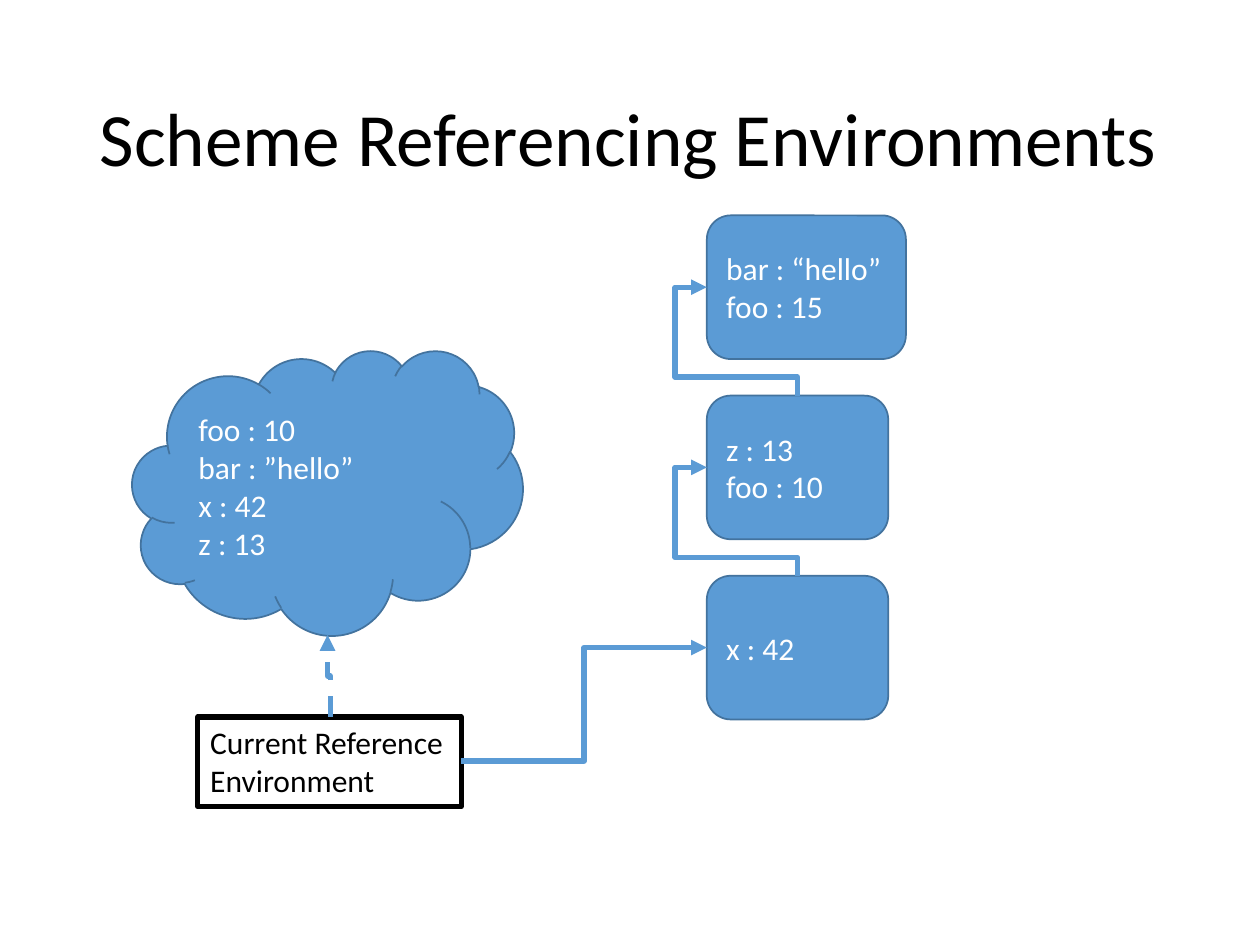
from pptx import Presentation
from pptx.dml.color import RGBColor
from pptx.enum.dml import MSO_LINE
from pptx.enum.shapes import MSO_CONNECTOR, MSO_SHAPE
from pptx.enum.text import MSO_ANCHOR, MSO_AUTO_SIZE, PP_ALIGN
from pptx.oxml.ns import qn
from pptx.oxml.xmlchemy import OxmlElement
from pptx.util import Inches, Pt

BLUE = RGBColor(0x5B, 0x9B, 0xD5)
DARK_BLUE = RGBColor(0x43, 0x73, 0x9E)
BLACK = RGBColor(0, 0, 0)
WHITE = RGBColor(255, 255, 255)


def write(tf, lines, size=18, color=WHITE, align=PP_ALIGN.LEFT,
          anchor=MSO_ANCHOR.MIDDLE, spacing=None):
    tf.word_wrap = True
    tf.vertical_anchor = anchor
    for i, line in enumerate(lines):
        p = tf.paragraphs[0] if i == 0 else tf.add_paragraph()
        p.alignment = align
        p.line_spacing = spacing
        r = p.add_run()
        r.text = line
        r.font.name, r.font.size, r.font.color.rgb = "Calibri", Pt(size), color


def add_title(s, box, text):
    sp = s.shapes.title
    sp.left, sp.top, sp.width, sp.height = map(Inches, box)
    write(sp.text_frame, [text], size=43, color=BLACK, spacing=0.9)
    sp.text_frame.auto_size = MSO_AUTO_SIZE.NONE


def add_bindings(s, kind, box, lines):
    """Blue shape listing the names bound in one environment."""
    sp = s.shapes.add_shape(kind, *map(Inches, box))
    sp.shadow.inherit = False
    sp.fill.solid()
    sp.fill.fore_color.rgb = BLUE
    sp.line.color.rgb = DARK_BLUE
    sp.line.width = Pt(1)
    write(sp.text_frame, lines)


def add_label(s, box, text):
    sp = s.shapes.add_textbox(*map(Inches, box))
    sp.line.color.rgb = BLACK
    sp.line.width = Pt(3)
    write(sp.text_frame, [text], color=BLACK, anchor=MSO_ANCHOR.TOP)
    sp.text_frame.auto_size = MSO_AUTO_SIZE.SHAPE_TO_FIT_TEXT


def add_arrow(s, start, end, upward=False, adjust=(), dashed=False):
    """Elbow arrow; an upward one leaves its start vertically."""
    (x1, y1), (x2, y2) = start, end
    if upward:  # unrotated ends, before a turn of 270 degrees about the centre
        cx, cy = (x1 + x2) / 2, (y1 + y2) / 2
        dx, dy = (y1 - y2) / 2, (x1 - x2) / 2
        x1, y1, x2, y2 = cx - dx, cy + dy, cx + dx, cy - dy
    c = s.shapes.add_connector(MSO_CONNECTOR.ELBOW, *map(Inches, (x1, y1, x2, y2)))
    c.line.color.rgb = BLUE
    c.line.width = Pt(3)
    if dashed:
        c.line.dash_style = MSO_LINE.DASH
    sp_pr = c._element.spPr
    if upward:
        sp_pr.find(qn("a:xfrm")).set("rot", str(270 * 60000))
    if adjust:
        geom = sp_pr.find(qn("a:prstGeom"))
        geom.set("prst", f"bentConnector{len(adjust) + 2}")
        guides = geom.find(qn("a:avLst"))
        for i, value in enumerate(adjust, 1):
            gd = OxmlElement("a:gd")
            gd.set("name", f"adj{i}")
            gd.set("fmla", f"val {round(value * 100000)}")
            guides.append(gd)
    tail = OxmlElement("a:tailEnd")
    tail.set("type", "triangle")
    sp_pr.find(qn("a:ln")).append(tail)
    sp_pr.append(OxmlElement("a:effectLst"))


def add_frame_stack(s, left, top, height, pitch, frames):
    """Frames from outermost to innermost, each pointing at the one above."""
    for i, (width, lines) in enumerate(frames):
        y = top + i * pitch
        add_bindings(s, MSO_SHAPE.ROUNDED_RECTANGLE, (left, y, width, height), lines)
        if i:
            add_arrow(s, (left + width / 2, y), (left, y - pitch + height / 2),
                      upward=True, adjust=(0.17, 1.35))


def main():
    prs = Presentation()
    prs.slide_width, prs.slide_height = Inches(10), Inches(7.5)
    s = prs.slides.add_slide(prs.slide_layouts[5])

    add_title(s, (0.69, 0.4, 8.62, 1.45), "Scheme Referencing Environments")

    # Flattened view of all visible bindings
    add_bindings(s, MSO_SHAPE.CLOUD, (1.05, 2.78, 3.1, 2.26),
                 ["foo : 10", "bar : ”hello”", "x : 42", "z : 13"])

    # Chain of nested frames
    add_frame_stack(s, 5.61, 1.71, 1.14, 1.43, [
        (1.58, ["bar : “hello”", "foo : 15"]),
        (1.44, ["z : 13", "foo : 10"]),
        (1.44, ["x : 42"]),
    ])

    # Current environment and its two arrows
    add_label(s, (1.57, 5.69, 2.09, 0.71), "Current Reference Environment")
    add_arrow(s, (3.66, 6.04), (5.61, 5.14))
    add_arrow(s, (2.62, 5.69), (2.6, 5.04), upward=True, dashed=True)

    prs.save("out.pptx")


if __name__ == "__main__":
    main()
